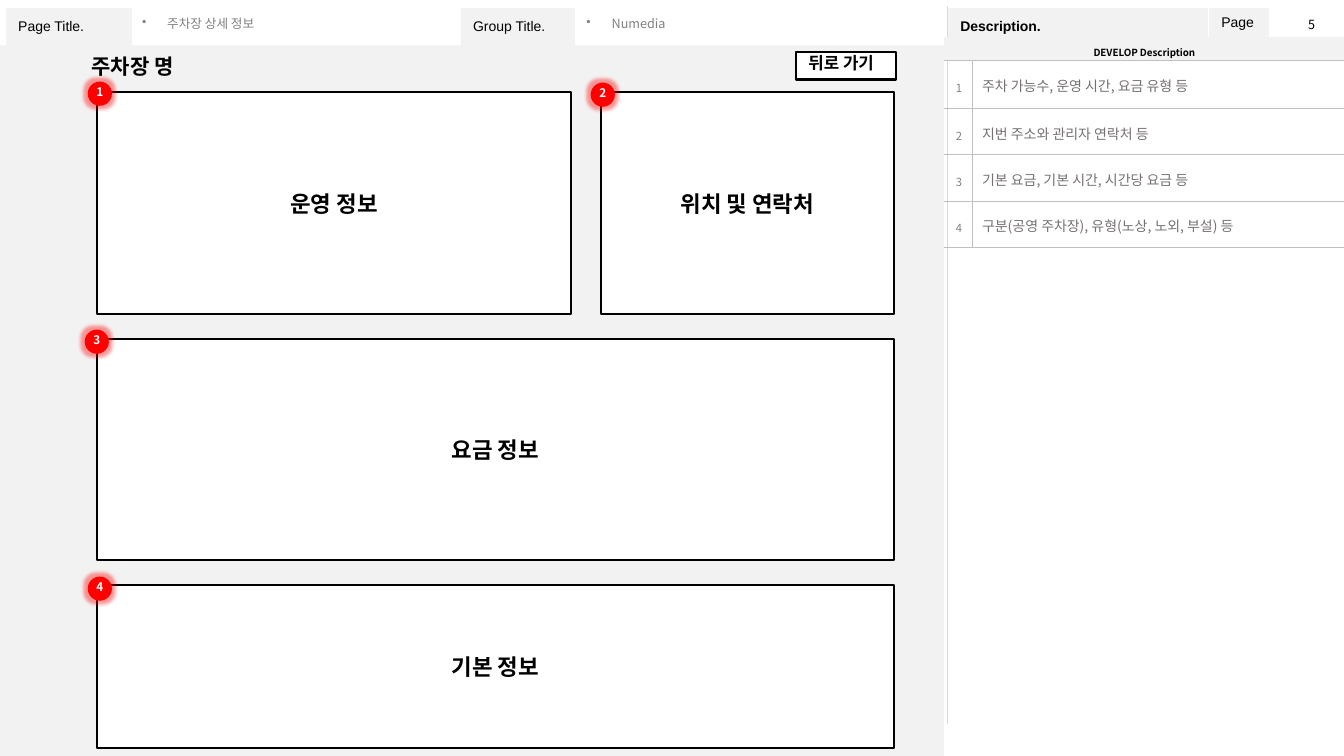
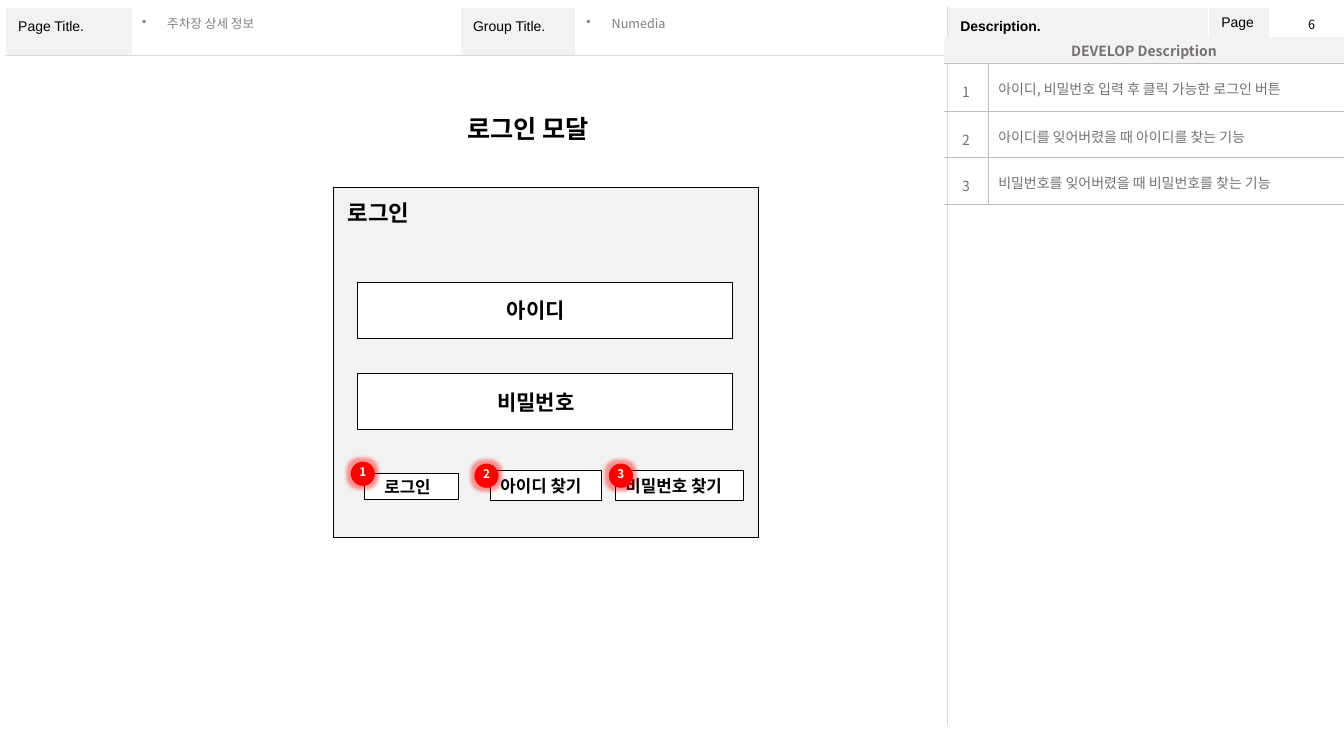
"""Build two storyboard slides with a shared header and description panel."""
import pptx
import pptx.util
import pptx.dml.color
import pptx.enum.shapes
import pptx.enum.text
import pptx.oxml
import pptx.oxml.ns

COLORS = {
    "black": "000000", "white": "FFFFFF", "band": "F2F2F2", "badge": "FF0000",
    "muted": "808080", "body": "767171", "rule": "BFBFBF", "frame": "D9D9D9",
}
KR, LATIN = "Noto Sans CJK KR", "Arial"
W, H = pptx.util.Inches(13.333), pptx.util.Inches(7.5)
ALIGN = pptx.enum.text.PP_ALIGN
ANCHOR = pptx.enum.text.MSO_ANCHOR
SHAPE = pptx.enum.shapes.MSO_SHAPE
qn = pptx.oxml.ns.qn

HEADER_COLS = [9.45, 24.4, 8.63, 27.62, 19.43, 4.58, 5.1]
HEADER_ROWS = [6.27, 88.7]
HEADER_TEXT = {0: "Page Title.", 2: "Group Title.", 4: "Description.", 5: "Page."}
PANEL_X, PANEL_Y, PANEL_W, PANEL_H = 70.23, 4.9, 29.77, 40


def cx(share):
    """Return a percentage of the slide width."""
    return int(W * share / 100)


def cy(share):
    """Return a percentage of the slide height."""
    return int(H * share / 100)


def area(x, y, w, h):
    """Return a rectangle given in percentages of the slide."""
    return cx(x), cy(y), cx(w), cy(h)


def rgb(name):
    """Return a palette colour."""
    return pptx.dml.color.RGBColor.from_string(COLORS[name])


def element(xml):
    """Parse a DrawingML fragment."""
    return pptx.oxml.parse_xml(xml.replace(" ", f' {pptx.oxml.ns.nsdecls("a")} ', 1))


def write(tf, text, size, color="black", bold=False, font=KR, align=ALIGN.LEFT, spacing=None):
    """Write one styled paragraph and return it."""
    p = tf.paragraphs[0]
    p.text, p.alignment, p.line_spacing = text, align, spacing
    p.font.size, p.font.bold, p.font.name = pptx.util.Pt(size), bold, font
    p.font.color.rgb = rgb(color)
    p.font._element.find(qn("a:latin")).addnext(element(f'<a:ea typeface="{font}"/>'))
    return p


def insets(target, left=0.1, top=0.05, right=0.1, bottom=0.05):
    """Set the inner margins of a text frame or cell in inches."""
    target.margin_left, target.margin_top = pptx.util.Inches(left), pptx.util.Inches(top)
    target.margin_right, target.margin_bottom = pptx.util.Inches(right), pptx.util.Inches(bottom)


def label(slide, x, y, w, h, text, size, color="black", bold=True):
    """Add a text box and return its paragraph."""
    tf = slide.shapes.add_textbox(*area(x, y, w, h)).text_frame
    tf.word_wrap, tf.vertical_anchor = True, ANCHOR.MIDDLE
    return write(tf, text, size, color, bold)


def bullet(slide, x, w, text):
    """Add a bulleted header entry."""
    p = label(slide, x, 1.6, w, 3.2, text, 9, "muted", False)
    p.line_spacing = 0.9
    pPr = p._p.get_or_add_pPr()
    pPr.set("marL", str(pptx.util.Inches(0.25)))
    pPr.set("indent", str(pptx.util.Inches(-0.25)))
    pPr.find(qn("a:defRPr")).addprevious(element('<a:buChar char="•"/>'))


def box(slide, x, y, w, h, text="", size=16, fill="white", line=1.5, align=ALIGN.CENTER,
        anchor=ANCHOR.MIDDLE, margins=None, kind=SHAPE.RECTANGLE, color="black"):
    """Add a filled shape with an optional outline and bold text."""
    sp = slide.shapes.add_shape(kind, *area(x, y, w, h))
    sp.shadow.inherit = False
    sp.fill.solid()
    sp.fill.fore_color.rgb = rgb(fill)
    if line:
        sp.line.color.rgb, sp.line.width = rgb("black"), pptx.util.Pt(line)
    else:
        sp.line.fill.background()
    if text:
        tf = sp.text_frame
        tf.word_wrap, tf.vertical_anchor = False, anchor
        insets(tf, **(margins or {}))
        write(tf, text, size, color, True, align=align)
    return sp


def badge(slide, x, y, number):
    """Add a glowing numbered marker."""
    sp = box(slide, x, y, 1.8, 3.2, str(number), 8.4, "badge", 0, kind=SHAPE.OVAL,
             color="white", margins=dict(left=0, top=0, right=0, bottom=0.03))
    sp._element.spPr.find(qn("a:effectLst")).append(element(
        f'<a:glow rad="63500"><a:srgbClr val="{COLORS["badge"]}">'
        '<a:alpha val="40000"/></a:srgbClr></a:glow>'))


def borders(cell, **edges):
    """Draw the given L, R, T and B edges of a cell and hide the others."""
    tcPr = cell._tc.get_or_add_tcPr()
    for i, side in enumerate("LRTB"):
        color, width = edges.get(side, (None, 0))
        paint = (f'<a:solidFill><a:srgbClr val="{COLORS[color]}"/></a:solidFill>'
                 if color else "<a:noFill/>")
        tcPr.insert(i, element(f'<a:ln{side} w="{int(width * 12700)}">{paint}</a:ln{side}>'))


def fill_cell(cell, color=None):
    """Fill a cell or leave it clear."""
    if color:
        cell.fill.solid()
        cell.fill.fore_color.rgb = rgb(color)
    else:
        cell.fill.background()
    cell.vertical_anchor = ANCHOR.MIDDLE


def grid(slide, x, y, cols, rows):
    """Add a plain table with the given column and row shares."""
    table = slide.shapes.add_table(
        len(rows), len(cols), *area(x, y, sum(cols), sum(rows))).table
    table.first_row = table.horz_banding = False
    for column, share in zip(table.columns, cols):
        column.width = cx(share)
    for row, share in zip(table.rows, rows):
        row.height = cy(share)
    return table


def header_table(slide):
    """Add the page frame with its title cells."""
    table = grid(slide, 0.38, 0.93, HEADER_COLS, HEADER_ROWS)
    white, gray = ("white", 1), ("frame", 0.25)
    for c in range(len(HEADER_COLS)):
        cell, text = table.cell(0, c), HEADER_TEXT.get(c)
        fill_cell(cell, "band" if text else None)
        if text:
            top, bottom = (0.07, 0.07) if c == 5 else (0.03, 0.11)
            insets(cell, 0.13, top, 0.13, bottom)
            write(cell.text_frame, text, 10, bold=c == 4, font=LATIN)
        borders(cell, L=gray if c == 4 else white, R=gray if c == 3 else white, T=white, B=gray)
    table.cell(1, 0).merge(table.cell(1, 3))
    table.cell(1, 4).merge(table.cell(1, 6))
    for c in range(len(HEADER_COLS)):
        cell = table.cell(1, c)
        fill_cell(cell)
        borders(cell, T=gray, B=white, **({"R": gray} if c == 3 else {}),
                **({"L": gray} if c == 4 else {}))


def description_table(slide, items, number_col, title_row, title_spacing,
                      title_style, number_style):
    """Add the numbered description panel."""
    rows = [title_row, 6.4] + [6.13] * (len(items) - 1)
    table = grid(slide, PANEL_X, PANEL_Y, [number_col, PANEL_W - number_col],
                 rows + [PANEL_H - sum(rows)])
    rule = ("rule", 0.25)
    last = len(rows)
    for r in (0, last):
        table.cell(r, 0).merge(table.cell(r, 1))
        for c in (0, 1):
            fill_cell(table.cell(r, c), None if r else "band")
            borders(table.cell(r, c), **{"T" if r else "B": rule})
    title = table.cell(0, 0)
    insets(title, 0.12, 0, 0.12, 0)
    write(title.text_frame, "DEVELOP Description", *title_style, True,
          align=ALIGN.CENTER, spacing=title_spacing)
    for r, text in enumerate(items, 1):
        number, detail = table.cell(r, 0), table.cell(r, 1)
        insets(number, 0.12, 0.06, 0.12, 0.06)
        write(number.text_frame, str(r), *number_style, align=ALIGN.CENTER, spacing=1.5)
        write(detail.text_frame, text, 10, "body", align=ALIGN.JUSTIFY, spacing=1.2)
        for cell, side in ((number, "R"), (detail, "L")):
            fill_cell(cell)
            borders(cell, T=rule, B=rule, **{side: rule})


def storyboard(prs, page, band=False):
    """Start a slide with the shared header."""
    slide = prs.slides.add_slide(prs.slide_layouts[6])
    header_table(slide)
    if band:
        box(slide, 0, 6, PANEL_X, 94, fill="band", line=0)
    bullet(slide, 9.83, 24.3, "주차장 상세 정보")
    bullet(slide, 42.9, 27.3, "Numedia")
    label(slide, 96.6, 1.6, 2.2, 3.3, str(page), 9, bold=False)
    return slide


def parking_slide(prs):
    """Build the parking detail screen."""
    slide = storyboard(prs, 5, band=True)
    description_table(slide, [
        "주차 가능수, 운영 시간, 요금 유형 등",
        "지번 주소와 관리자 연락처 등",
        "기본 요금, 기본 시간, 시간당 요금 등",
        "구분(공영 주차장), 유형(노상, 노외, 부설) 등",
    ], 2.03, 3, 1.5, (7, "black"), (8, "muted"))
    left, width, height = 7.2, 59.3, 29.33
    tops = [12.2 + i * (height + 3.25) for i in range(3)]
    box(slide, left, tops[0], 35.3, height, "운영 정보")
    box(slide, 44.7, tops[0], 21.8, height, "위치 및 연락처")
    box(slide, left, tops[1], width, height, "요금 정보")
    box(slide, left, tops[2], width, 21.6, "기본 정보")
    label(slide, 6.08, 6.4, 10, 4.67, "주차장 명", 15)
    box(slide, 59.25, 6.93, 7.43, 3.6, "뒤로 가기", 12, align=ALIGN.LEFT,
        margins=dict(left=0.12, top=0, bottom=0.06))
    for n, (x, y) in enumerate([(6.53, 10.8), (43.95, 10.93), (6.3, 43.6), (6.53, 76.27)], 1):
        badge(slide, x, y, n)


def login_slide(prs):
    """Build the login modal screen."""
    slide = storyboard(prs, 6)
    description_table(slide, [
        "아이디, 비밀번호 입력 후 클릭 가능한 로그인 버튼",
        "아이디를 잊어버렸을 때 아이디를 찾는 기능",
        "비밀번호를 잊어버렸을 때 비밀번호를 찾는 기능",
    ], 3.3, 3.4, 1.1, (10, "body"), (10, "body"))
    label(slide, 34.05, 14.3, 14, 5.33, "로그인 모달", 18)
    box(slide, 24.83, 24.8, 31.58, 46.27, "로그인", fill="band", line=0.75,
        align=ALIGN.LEFT, anchor=ANCHOR.TOP, margins=dict(left=0.14, top=0.12))
    for i, text in enumerate(["아이디", "비밀번호"]):
        box(slide, 26.6, 37.33 + i * 12.07, 27.9, 7.47, text, 15, line=0.75,
            margins=dict(right=0.28))
    buttons = [
        ("로그인", 27.1, 62.7, 7.05, 3.33, 0.2),
        ("아이디 찾기", 36.5, 62.27, 8.25, 4, 0.1),
        ("비밀번호 찾기", 45.8, 62.27, 9.53, 4, 0.1),
    ]
    for text, x, y, w, h, indent in buttons:
        box(slide, x, y, w, h, text, 12, line=0.75, align=ALIGN.LEFT,
            margins=dict(left=indent, top=0, bottom=0))
    for n, (x, y) in enumerate([(26.1, 61.07), (35.3, 61.33), (45.3, 61.33)], 1):
        badge(slide, x, y, n)


def main():
    """Build and save the presentation."""
    prs = pptx.Presentation()
    prs.slide_width, prs.slide_height = W, H
    parking_slide(prs)
    login_slide(prs)
    prs.save("out.pptx")


if __name__ == "__main__":
    main()
